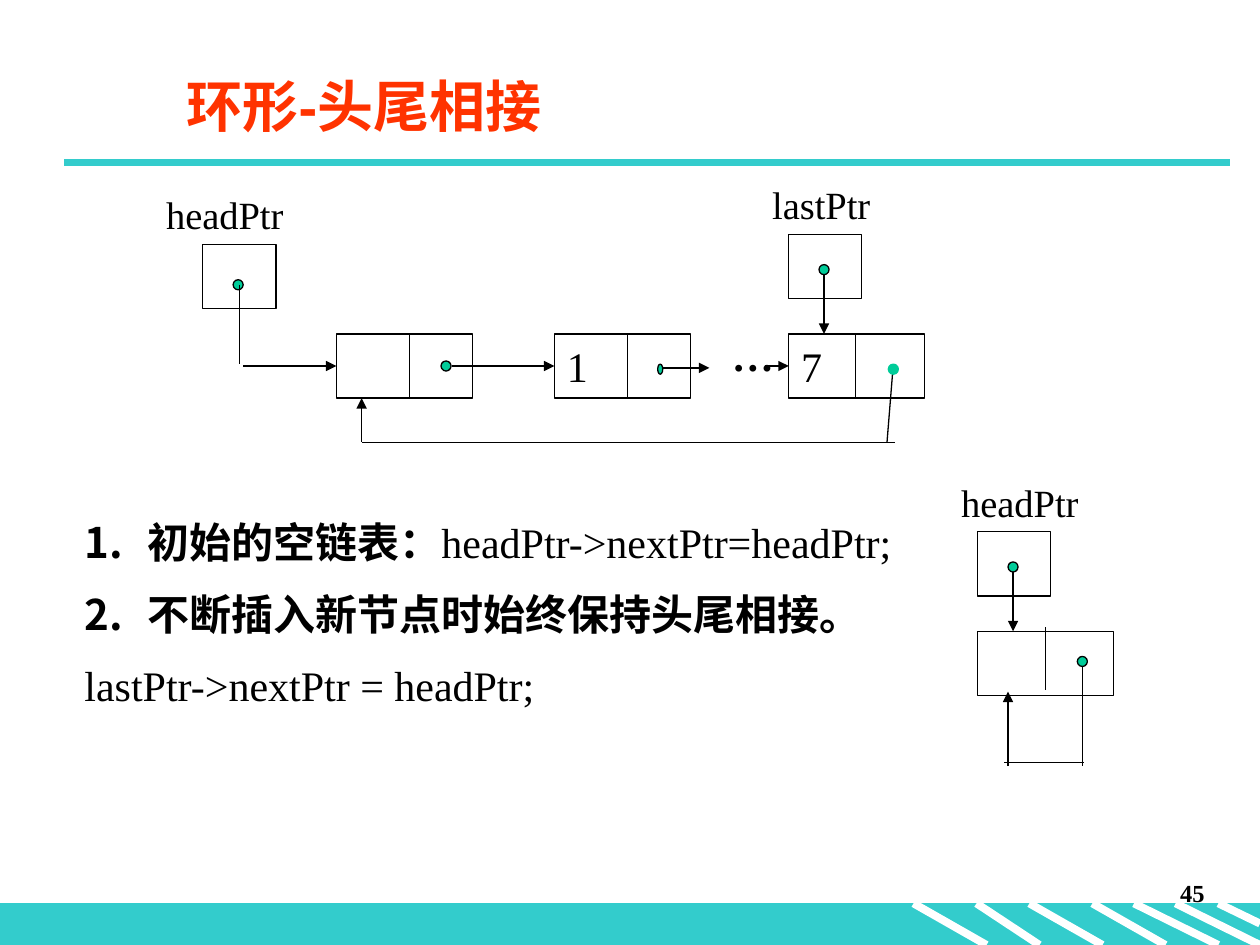
from dataclasses import dataclass
from typing import Any

from lxml.etree import SubElement
from pptx import Presentation
from pptx.dml.color import RGBColor
from pptx.enum.shapes import MSO_CONNECTOR as Connector, MSO_SHAPE as Preset
from pptx.enum.text import MSO_ANCHOR as Anchor, MSO_AUTO_SIZE as AutoSize, PP_ALIGN as Align
from pptx.oxml.ns import qn
from pptx.util import Inches, Pt


@dataclass(frozen=True)
class Theme:
    ink: str = "000000"
    paper: str = "FFFFFF"
    band: str = "33CCCC"
    title: str = "FF3300"
    dot: str = "00CC99"
    heading_font: str = "Arial"
    code_font: str = "Times New Roman"
    title_size: int = 32
    body_size: int = 24
    label_size: int = 22
    number_size: int = 14
    thin: float = 0.75
    thick: float = 4.5


THEME = Theme()
NODE_WIDTH, POINTER_WIDTH, BOX_HEIGHT = 1.08, 0.58, 0.51
POINTER_CENTER = 0.28


def add_run(paragraph, text, *, size=THEME.body_size, font=THEME.code_font,
            color=THEME.ink, bold=False):
    run = paragraph.add_run()
    run.text = text
    run.font.size = Pt(size)
    run.font.name = font
    run.font.bold = bold
    run.font.color.rgb = RGBColor.from_string(color)


@dataclass
class Region:
    """A part of the slide; all lengths are inches from its top left corner."""
    slide: Any
    left: float
    top: float

    def place(self, x, y):
        return Inches(self.left + x), Inches(self.top + y)

    def shape(self, x, y, width, height, *, preset=Preset.RECTANGLE, fill=None, line=THEME.ink):
        shape = self.slide.shapes.add_shape(
            preset, *self.place(x, y), Inches(width), Inches(height))
        shape.shadow.inherit = False
        if fill:
            shape.fill.solid()
            shape.fill.fore_color.rgb = RGBColor.from_string(fill)
        else:
            shape.fill.background()
        shape.line.color.rgb = RGBColor.from_string(line)
        shape.line.width = Pt(THEME.thin)
        return shape

    def dot(self, x, y, *, width=0.08, line=THEME.ink):
        """Draw a dot centred on x, y."""
        return self.shape(x - width / 2, y - 0.04, width, 0.08,
                          preset=Preset.OVAL, fill=THEME.dot, line=line)

    def line(self, start, end, *, arrow=False, color=THEME.ink, width=THEME.thin):
        line = self.slide.shapes.add_connector(
            Connector.STRAIGHT, *self.place(*start), *self.place(*end))
        line.line.color.rgb = RGBColor.from_string(color)
        line.line.width = Pt(width)
        if arrow:
            SubElement(line.get_or_add_ln(), qn("a:tailEnd"), type="triangle")
        SubElement(line._element.spPr, qn("a:effectLst"))
        return line

    def text(self, x, y, width, height, text, *, align=Align.LEFT, **style):
        box = self.slide.shapes.add_textbox(
            *self.place(x, y), Inches(width), Inches(height))
        box.text_frame.word_wrap = True
        paragraph = box.text_frame.paragraphs[0]
        paragraph.alignment = align
        add_run(paragraph, text, **style)

    def node(self, x, y, *, divider=0.58, divider_top=0, value=""):
        node = self.shape(x, y, NODE_WIDTH, BOX_HEIGHT)
        if value:
            node.text_frame.vertical_anchor = Anchor.MIDDLE
            paragraph = node.text_frame.paragraphs[0]
            paragraph.alignment = Align.LEFT
            add_run(paragraph, value)
        self.line((x + divider, y + divider_top), (x + divider, y + divider_top + 0.5))
        return node

    def pointer(self, x, y, label, *, label_shift=0.23, dot_y=POINTER_CENTER):
        self.shape(x, y, POINTER_WIDTH, BOX_HEIGHT)
        self.text(x - label_shift, y - 0.47, 1.33, 0.47, label, size=THEME.label_size)
        self.dot(x + POINTER_CENTER, y + dot_y)


def add_frame(slide, number):
    page = Region(slide, 0, 0)
    band_top, bottom = 7.17, 7.5
    page.shape(0, band_top, 10, bottom - band_top, fill=THEME.band, line=THEME.band)
    stripes = [(7.25, 7.83), (7.75, 8.25), (8.17, 8.75), (8.67, 9.25), (9, 9.67), (9.33, 10)]
    ends = [((start, band_top), (end, bottom)) for start, end in stripes]
    for start, end in ends + [((9.67, band_top), (10, 7.33))]:
        page.line(start, end, color=THEME.paper, width=THEME.thick)
    page.line((0.51, 1.29), (9.76, 1.29), color=THEME.band, width=THEME.thick)
    page.text(7.58, 6.92, 2.08, 0.5, number, align=Align.RIGHT,
              size=THEME.number_size, bold=True)


def set_box(placeholder, left, top, width, height, anchor):
    placeholder.left, placeholder.top = Inches(left), Inches(top)
    placeholder.width, placeholder.height = Inches(width), Inches(height)
    frame = placeholder.text_frame
    frame.word_wrap = True
    frame.auto_size = AutoSize.NONE
    frame.vertical_anchor = anchor
    return frame


def add_title(slide, text):
    frame = set_box(slide.shapes.title, 1.38, 0.44, 8.5, 0.79, Anchor.MIDDLE)
    paragraph = frame.paragraphs[0]
    paragraph.alignment = Align.LEFT
    add_run(paragraph, text, size=THEME.title_size, font=THEME.heading_font,
            color=THEME.title, bold=True)


def add_steps(slide, steps):
    """Fill the body with (numbered heading, code) pairs; either may be empty."""
    frame = set_box(slide.placeholders[1], 0.57, 4.05, 6.75, 2.07, Anchor.TOP)
    for index, (heading, code) in enumerate(steps):
        paragraph = frame.add_paragraph() if index else frame.paragraphs[0]
        properties = paragraph._p.get_or_add_pPr()
        indent = Inches(0.5) if heading else 0
        properties.set("marL", str(indent))
        properties.set("indent", str(-indent))
        if heading:
            SubElement(properties, qn("a:buFont"), typeface=THEME.heading_font)
            SubElement(properties, qn("a:buAutoNum"), type="arabicPeriod")
            add_run(paragraph, heading, font=THEME.heading_font, bold=True)
        else:
            SubElement(properties, qn("a:buNone"))
        if code:
            add_run(paragraph, code)
        paragraph.space_before = Pt(12 if index else 0)


def add_ring(slide, left, top):
    ring = Region(slide, left, top)
    row, last_x = 1.26, 5.04
    middle, floor = row + BOX_HEIGHT / 2, 2.12
    first = ring.node(1.45, row)
    second = ring.node(3.18, row, value="1")
    last = ring.node(last_x, row, divider=0.53, value="7")
    ring.pointer(0.39, 0.55, "headPtr", label_shift=0.39, dot_y=0.32)
    ring.pointer(last_x, 0.47, "lastPtr")

    ring.line((0.68, 0.87), (0.68, 1.5))
    for start, node in ((0.71, first), (2.37, second), (4.85, last)):
        ring.line((start, middle), (start, middle), arrow=True).end_connect(node, 1)
    ring.line((4.03, 1.53), (4.41, 1.53), arrow=True)
    ring.line((last_x + POINTER_CENTER, 0.79), (last_x + POINTER_CENTER, row), arrow=True)
    ring.line((5.87, 1.5), (5.82, floor))
    ring.line((5.88, floor), (1.65, floor))
    ring.line((1.65, floor), (1.65, row + BOX_HEIGHT), arrow=True)
    ring.dot(2.32, middle)
    ring.dot(4.02, 1.54, width=0.04)
    ring.dot(5.87, 1.54, line=THEME.dot)
    ring.text(4.49, 1.18, 0.63, 0.5, "…", bold=True)


def add_empty_ring(slide, left, top):
    ring = Region(slide, left, top)
    box_x, row, floor = 0.23, 1.26, 2.3
    ring.node(box_x, row, divider=0.54, divider_top=-0.03)
    ring.pointer(box_x, 0.47, "headPtr")
    ring.line((box_x + POINTER_CENTER, 0.79), (box_x + POINTER_CENTER, row), arrow=True)
    ring.line((1.06, 1.5), (1.06, 2.33))
    ring.line((1.07, floor), (0.44, floor))
    ring.line((0.47, 2.33), (0.47, 1.74), arrow=True)
    ring.dot(1.06, 1.5)


def main():
    presentation = Presentation()
    presentation.slide_width, presentation.slide_height = Inches(10), Inches(7.5)
    slide = presentation.slides.add_slide(presentation.slide_layouts[1])
    add_frame(slide, "45")
    add_title(slide, "环形-头尾相接")
    add_steps(slide, [
        ("初始的空链表：", "headPtr->nextPtr=headPtr;"),
        ("不断插入新节点时始终保持头尾相接。", ""),
        ("", "lastPtr->nextPtr = headPtr;"),
    ])
    add_empty_ring(slide, 7.53, 3.75)
    add_ring(slide, 1.22, 1.39)
    presentation.save("out.pptx")


if __name__ == "__main__":
    main()
